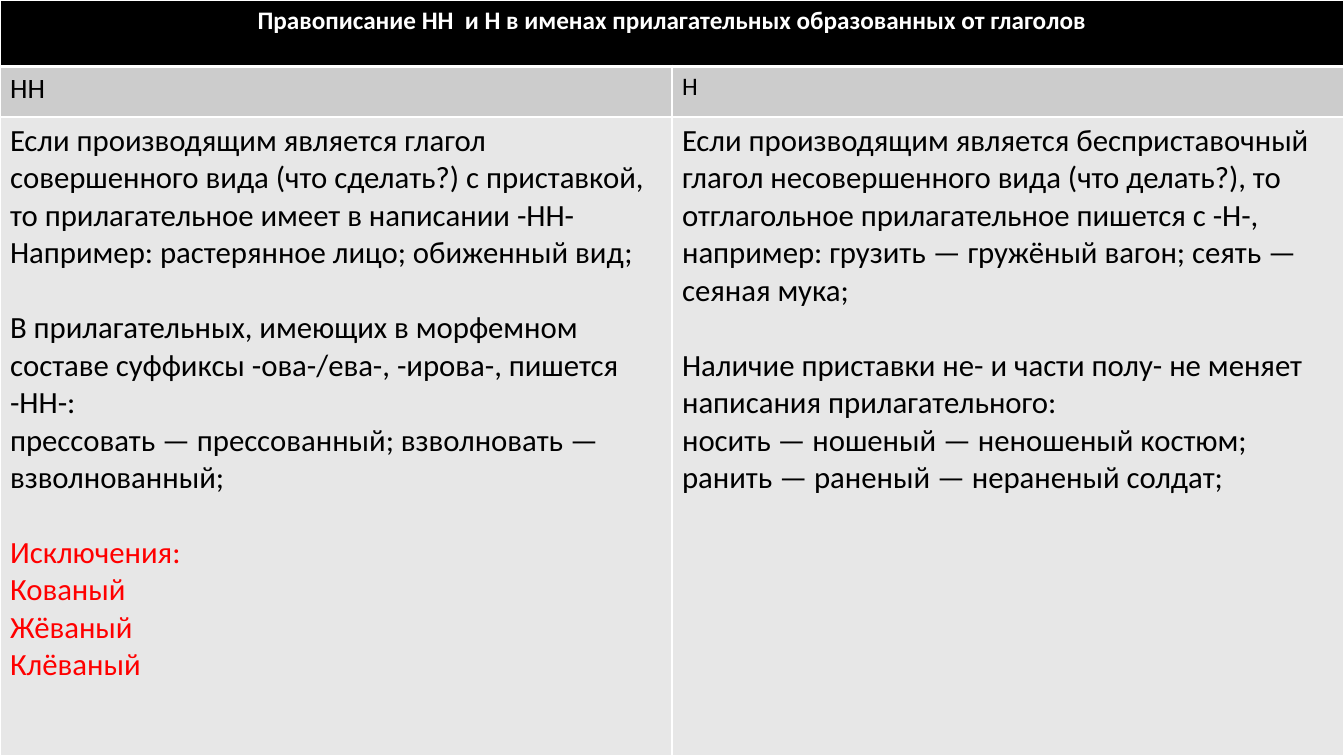
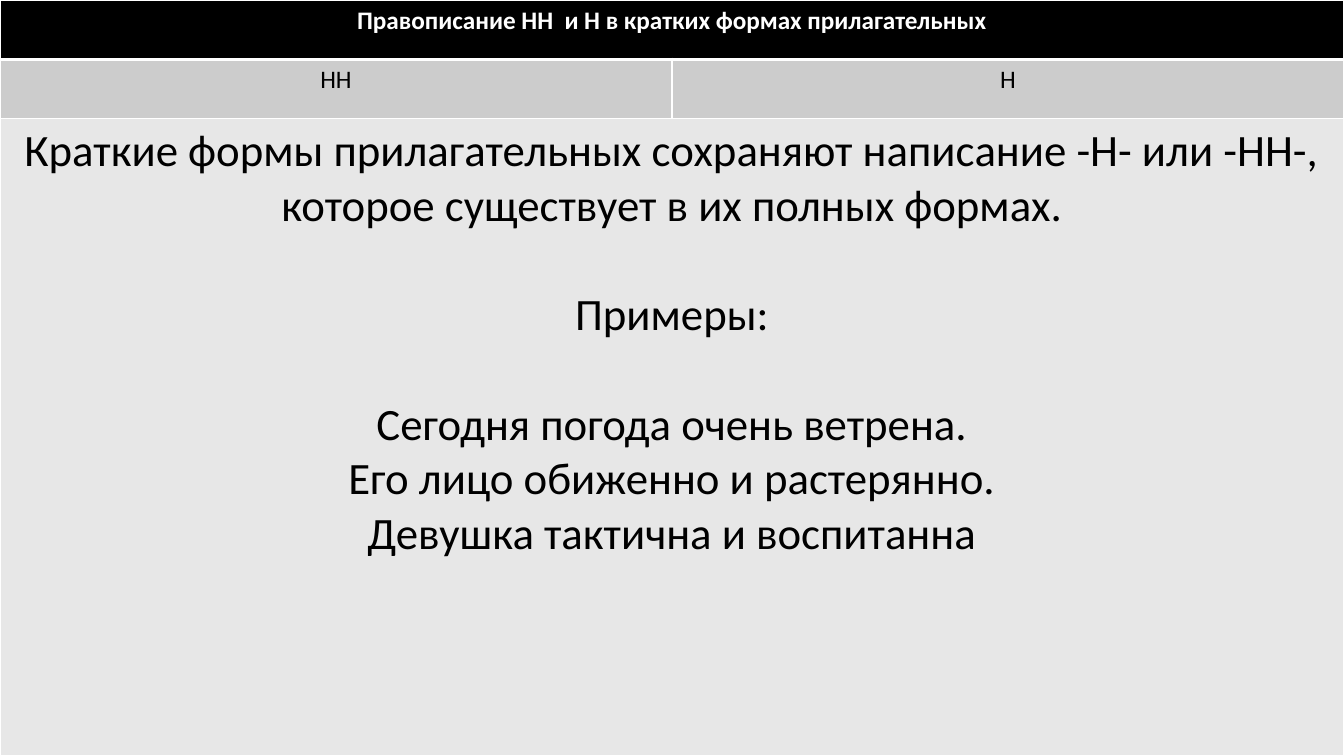
from dataclasses import dataclass
from lxml.etree import SubElement as Sub
from pptx import Presentation
from pptx.dml.color import RGBColor as Rgb
from pptx.enum.text import PP_ALIGN as Align
from pptx.oxml.ns import qn
from pptx.util import Inches, Pt

WIDE, HIGH = 13.33, 7.5
FONT = "Calibri"
WHITE, BLACK, RED = "FFFFFF", "000000", "FF0000"
BAND, BODY = "CCCCCC", "E7E7E7"
THIN, THICK = 1, 3
LINE = 1.22


@dataclass(frozen=True)
class Para:
    text: str
    color: str = BLACK
    gap: bool = False


@dataclass(frozen=True)
class Cell:
    paras: tuple[Para, ...]
    size: int
    align: Align = Align.LEFT


@dataclass(frozen=True)
class Page:
    title: str
    heads: tuple[Cell, ...]
    body: tuple[Cell, ...]
    rows: tuple[float, float]


PAGES = (
    Page(
        "Правописание НН  и Н в именах прилагательных образованных от глаголов",
        (Cell((Para("НН"),), 20), Cell((Para("Н"),), 18)),
        (
            Cell((
                Para("Если производящим является глагол совершенного вида (что сделать?) "
                     "с приставкой, то прилагательное имеет в написании -НН-"),
                Para("Например: растерянное лицо; обиженный вид;"),
                Para("В прилагательных, имеющих в морфемном составе суффиксы "
                     "-ова-/ева-, -ирова-, пишется -НН-:", gap=True),
                Para("прессовать — прессованный; взволновать — взволнованный;"),
                Para("Исключения:", RED, True),
                Para("Кованый", RED),
                Para("Жёваный", RED),
                Para("Клёваный", RED),
            ), 22),
            Cell((
                Para("Если производящим является бесприставочный глагол несовершенного "
                     "вида (что делать?), то отглагольное прилагательное пишется с -Н-,"),
                Para("например: грузить — гружёный вагон; сеять — сеяная мука;"),
                Para("Наличие приставки не- и части полу- не меняет написания "
                     "прилагательного:", gap=True),
                Para("носить — ношеный — неношеный костюм; "
                     "ранить — раненый — нераненый солдат;"),
            ), 22),
        ),
        (0.66, 0.5),
    ),
    Page(
        "Правописание НН  и Н в кратких формах прилагательных",
        tuple(Cell((Para(head),), 18, Align.CENTER) for head in ("НН", "Н")),
        (
            Cell((
                Para("Краткие формы прилагательных сохраняют написание -Н- или -НН-, "
                     "которое существует в их полных формах."),
                Para("Примеры:", gap=True),
                Para("Сегодня погода очень ветрена.", gap=True),
                Para("Его лицо обиженно и растерянно."),
                Para("Девушка тактична и воспитанна"),
            ), 32, Align.CENTER),
        ),
        (0.59, 0.59),
    ),
)


def paint(code: str) -> Rgb:
    return Rgb.from_string(code)


def write(para, text: str, *, size: int, color: str, align: Align,
          bold: bool = False, gap: bool = False) -> None:
    para.alignment = align
    if gap:
        para.space_before = Pt(size * LINE)
    run = para.add_run()
    run.text = text
    font = run.font
    font.name, font.size, font.bold = FONT, Pt(size), bold
    font.color.rgb = paint(color)


def edge(box, top: int, bottom: int) -> None:
    props = box._tc.get_or_add_tcPr()
    sides = (("L", THIN), ("R", THIN), ("T", top), ("B", bottom))
    for place, (side, width) in enumerate(sides):
        line = Sub(props, qn(f"a:ln{side}"), w=str(Pt(width)))
        fill = Sub(line, qn("a:solidFill"))
        Sub(fill, qn("a:srgbClr"), val=WHITE)
        props.insert(place, line)


def fill_cell(box, cell: Cell, bold: bool) -> None:
    frame = box.text_frame
    for place, item in enumerate(cell.paras):
        para = frame.add_paragraph() if place else frame.paragraphs[0]
        write(para, item.text, size=cell.size, color=item.color,
              align=cell.align, bold=bold, gap=item.gap)


def draw(slide, page: Page) -> None:
    frame = slide.shapes.add_table(3, 2, 0, 0, Inches(WIDE), Inches(HIGH))
    table = frame.table
    table.first_row = table.horz_banding = False
    for col in table.columns:
        col.width = Inches(WIDE / 2)
    for row, high in zip(table.rows, (*page.rows, HIGH - sum(page.rows))):
        row.height = Inches(high)
    title = Cell((Para(page.title, WHITE),), 18, Align.CENTER)
    lines = (
        ((title,), BLACK, THIN, THICK),
        (page.heads, BAND, THICK, THIN),
        (page.body, BODY, THIN, THIN),
    )
    for row, (cells, color, top, bottom) in enumerate(lines):
        for col in range(2):
            box = table.cell(row, col)
            box.fill.solid()
            box.fill.fore_color.rgb = paint(color)
            edge(box, top, bottom)
        if len(cells) == 1:
            table.cell(row, 0).merge(table.cell(row, 1))
        for col, cell in enumerate(cells):
            fill_cell(table.cell(row, col), cell, row == 0)


def main() -> None:
    deck = Presentation()
    deck.slide_width, deck.slide_height = Inches(WIDE), Inches(HIGH)
    for page in PAGES:
        draw(deck.slides.add_slide(deck.slide_layouts[6]), page)
    deck.save("out.pptx")


if __name__ == "__main__":
    main()
